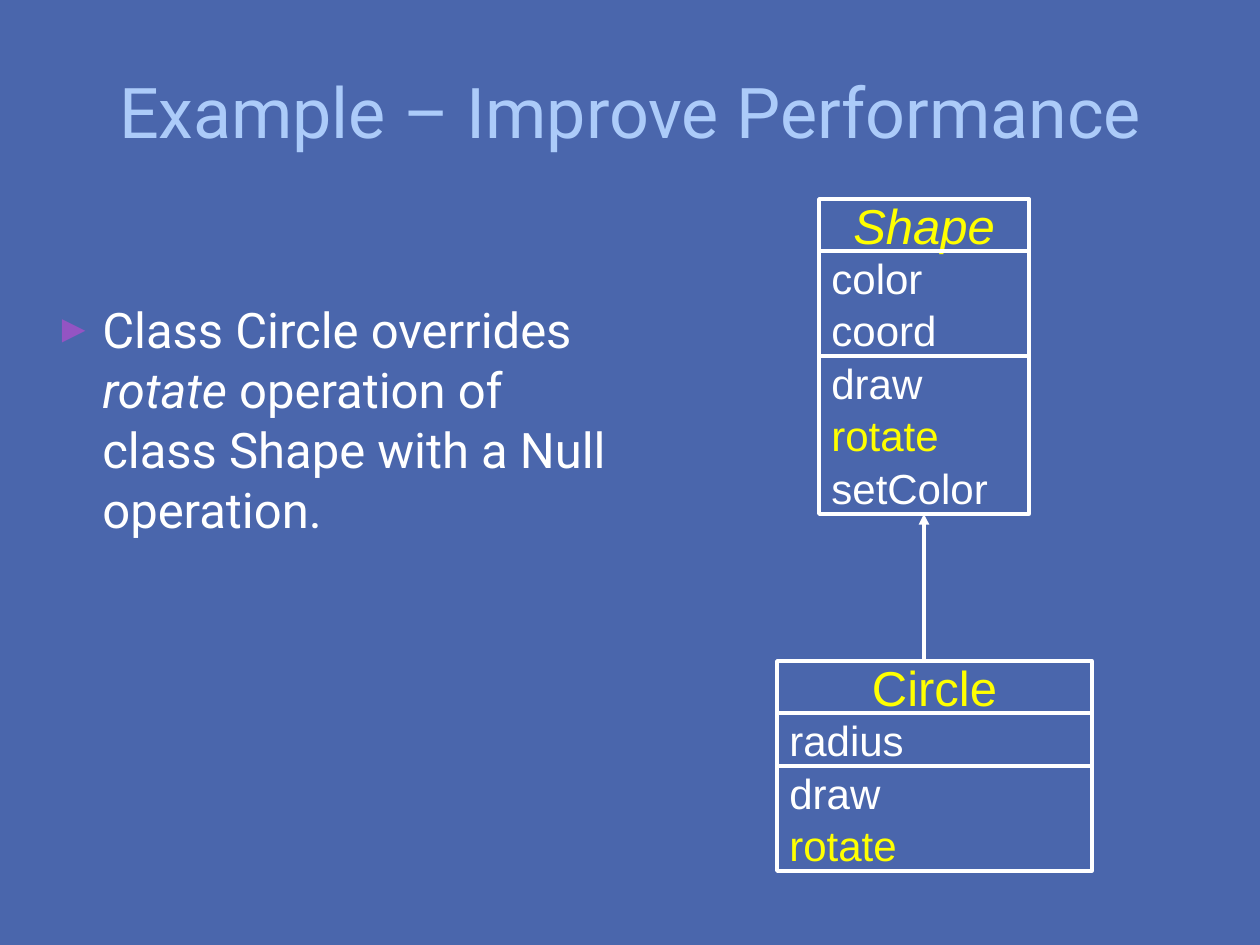
import pptx
import pptx.dml.color
import pptx.enum.shapes
import pptx.enum.text
import pptx.util
from dataclasses import dataclass
from lxml import etree

RGB = pptx.dml.color.RGBColor
ALIGN = pptx.enum.text.PP_ALIGN
ANCHOR = pptx.enum.text.MSO_ANCHOR
KIND = pptx.enum.shapes
BLUE = RGB(0x4A, 0x66, 0xAC)
PALE = RGB(0xAC, 0xCB, 0xF9)
PURPLE = RGB(0x94, 0x54, 0xC3)
WHITE = RGB(0xFF, 0xFF, 0xFF)
YELLOW = RGB(0xFF, 0xFF, 0x00)
SCALE = 914400 / 126
ROW = 52.5
NAME = {"name": "Arial", "size": pptx.util.Pt(28)}
ITEM = {"name": "Arial", "size": pptx.util.Pt(24)}
HEAD = {"name": "Roboto", "size": pptx.util.Pt(40)}
BODY = {"name": "Roboto", "size": pptx.util.Pt(28)}


@dataclass
class Line:
    text: str
    color: RGB = WHITE
    italic: bool = False


@dataclass
class Box:
    left: int
    top: int
    width: int
    name: Line
    fields: list[Line]
    methods: list[Line]


def px(count: int) -> int:
    return round(count * SCALE)


def apply(target, values: dict) -> None:
    for key, value in values.items():
        setattr(target, key, value)


def add_run(para, line: Line, font: dict) -> None:
    run = para.add_run()
    run.text = line.text
    apply(run.font, {**font, "italic": line.italic})
    run.font.color.rgb = line.color


def add_cell(slide, box: Box, top: int, end: int, lines: list[Line],
             font: dict, align):
    cell = slide.shapes.add_shape(
        KIND.MSO_SHAPE.RECTANGLE, px(box.left), px(top), px(box.width), px(end - top))
    cell.shadow.inherit = False
    cell.fill.background()
    cell.line.color.rgb = WHITE
    cell.line.width = pptx.util.Pt(2)
    frame = cell.text_frame
    apply(frame, {"word_wrap": False, "vertical_anchor": ANCHOR.MIDDLE})
    for index, line in enumerate(lines):
        para = frame.add_paragraph() if index else frame.paragraphs[0]
        gap = pptx.util.Pt(1.3 if index else 0)
        apply(para, {"alignment": align, "space_before": gap})
        add_run(para, line, font)
    return cell


def add_class(slide, box: Box):
    parts = [([box.name], NAME, ALIGN.CENTER),
             (box.fields, ITEM, ALIGN.LEFT),
             (box.methods, ITEM, ALIGN.LEFT)]
    rows = 0
    for lines, font, align in parts:
        top = box.top + int(rows * ROW)
        rows += len(lines)
        end = box.top + int(rows * ROW)
        cell = add_cell(slide, box, top, end, lines, font, align)
    return cell


def add_text(slide, left: int, top: int, width: int, height: int,
             lines: list[Line], font: dict, frame_vals: dict, para_vals: dict):
    text = slide.shapes.add_textbox(px(left), px(top), px(width), px(height))
    apply(text.text_frame, {"word_wrap": True, **frame_vals})
    para = text.text_frame.paragraphs[0]
    apply(para, para_vals)
    for line in lines:
        add_run(para, line, font)
    return para


def add_bullet(para, indent: int) -> None:
    props = para._p.get_or_add_pPr()
    props.set("marL", str(px(indent)))
    props.set("indent", str(-px(indent)))
    tag = pptx.oxml.ns.qn
    color = etree.SubElement(props, tag("a:buClr"))
    etree.SubElement(color, tag("a:srgbClr"), val=str(PURPLE))
    etree.SubElement(props, tag("a:buSzPct"), val="80000")
    etree.SubElement(props, tag("a:buFont"), typeface="Arial")
    etree.SubElement(props, tag("a:buChar"), char="►")


def add_arrow(slide, left: int, top: int, target) -> None:
    arrow = slide.shapes.add_connector(
        KIND.MSO_CONNECTOR.STRAIGHT, px(left), px(top), px(left), px(top))
    arrow.end_connect(target, 2)
    arrow.line.color.rgb = WHITE
    arrow.line.width = pptx.util.Pt(2)
    tag = pptx.oxml.ns.qn
    etree.SubElement(arrow.line._get_or_add_ln(), tag("a:tailEnd"), type="triangle")
    etree.SubElement(arrow._element.spPr, tag("a:effectLst"))


def main() -> None:
    deck = pptx.Presentation()
    apply(deck, {"slide_width": px(1260), "slide_height": px(945)})
    slide = deck.slides.add_slide(deck.slide_layouts[6])
    slide.background.fill.solid()
    slide.background.fill.fore_color.rgb = BLUE

    add_text(slide, 42, 32, 1176, 157,
             [Line("Example – Improve Performance", PALE)], HEAD,
             {"vertical_anchor": ANCHOR.MIDDLE}, {"alignment": ALIGN.CENTER})
    body = [Line("Class Circle overrides "), Line("rotate", italic=True),
            Line(" operation of class Shape with a Null operation.")]
    para = add_text(slide, 42, 220, 577, 620, body, BODY,
                    {"margin_top": px(78)}, {"line_spacing": 1.02})
    add_bullet(para, 48)

    draw, rotate = Line("draw"), Line("rotate", YELLOW)
    shape = Box(819, 199, 210, Line("Shape", YELLOW, True),
                [Line("color"), Line("coord")], [draw, rotate, Line("setColor")])
    circle = Box(777, 661, 315, Line("Circle", YELLOW),
                 [Line("radius")], [draw, rotate])
    base = add_class(slide, shape)
    add_class(slide, circle)
    add_arrow(slide, shape.left + shape.width // 2, circle.top, base)
    deck.save("out.pptx")


if __name__ == "__main__":
    main()
